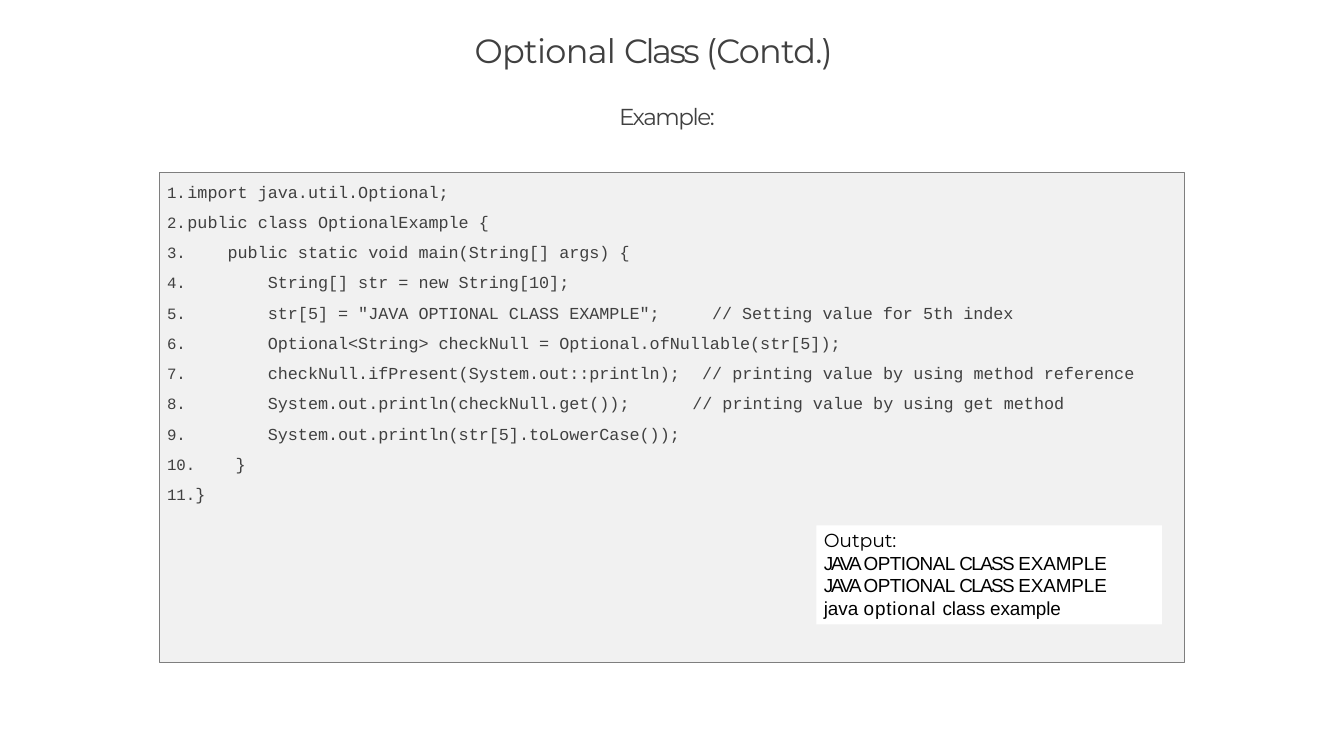
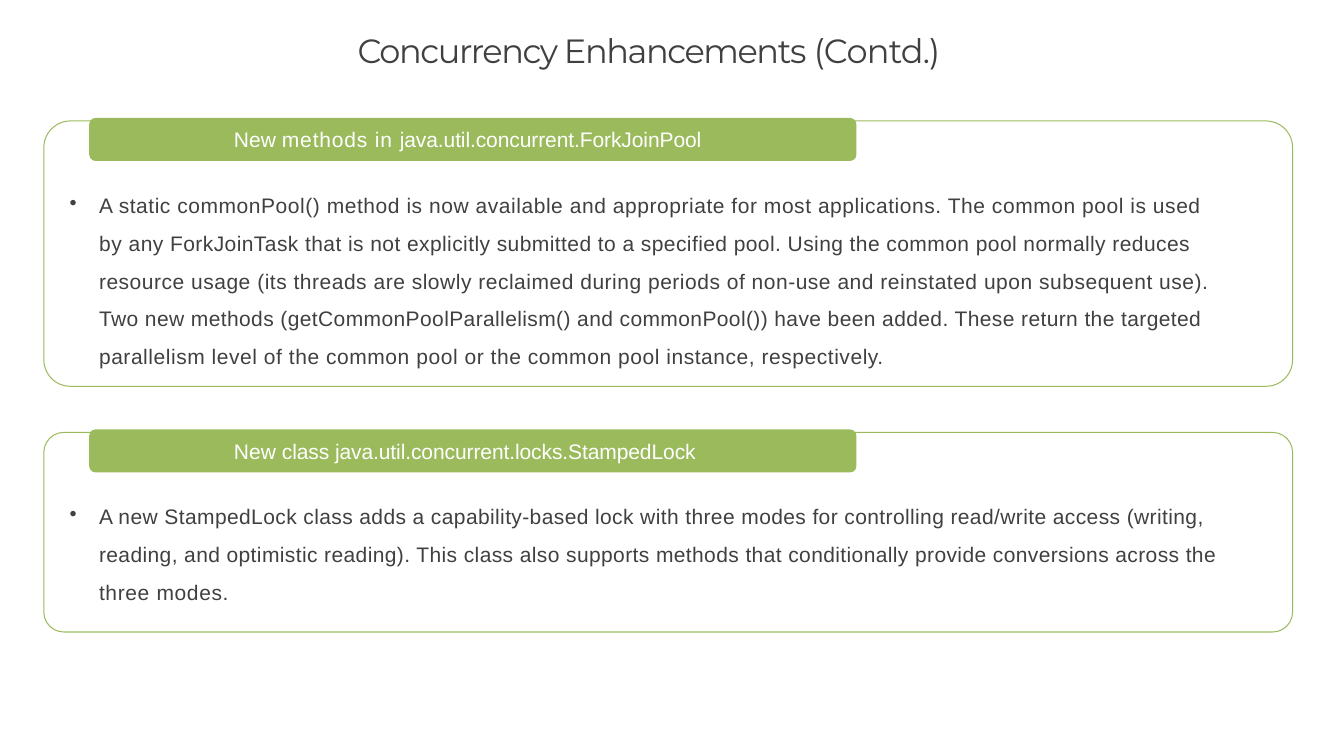
"""Build two slides about the Java Optional class and concurrency enhancements."""
from lxml.etree import SubElement
from pptx import Presentation
from pptx.dml.color import RGBColor
from pptx.enum.shapes import MSO_SHAPE
from pptx.enum.text import MSO_ANCHOR, PP_ALIGN
from pptx.oxml.ns import qn
from pptx.util import Pt

PX = 9144
DARK = RGBColor(0x40, 0x40, 0x40)
BLACK = RGBColor(0, 0, 0)
WHITE = RGBColor(0xFF, 0xFF, 0xFF)
GREEN = RGBColor(0x9B, 0xBA, 0x5C)
PANEL = RGBColor(0xF1, 0xF1, 0xF1)
GREY = RGBColor(0x7E, 0x7E, 0x7E)
HEADING, BODY, CODE = "Montserrat", "Arial", "Courier New"
DOT = (39, 100, "a:buChar", {"char": "•"})
NUMBER = (27, 94, "a:buAutoNum", {"type": "arabicPeriod"})

CODE_TOP, CODE_PITCH = 240, 40
CODE_LINES = (
    "import java.util.Optional;",
    "public class OptionalExample {",
    "    public static void main(String[] args) {",
    "        String[] str = new String[10];",
    '        str[5] = "JAVA OPTIONAL CLASS EXAMPLE";',
    "        Optional<String> checkNull = Optional.ofNullable(str[5]);",
    "        checkNull.ifPresent(System.out::println);",
    "        System.out.println(checkNull.get());",
    "        System.out.println(str[5].toLowerCase());",
    "    }",
    "}",
)
COMMENTS = (
    (942, 4, "// Setting value for 5th index"),
    (929, 6, "// printing value by using method reference"),
    (916, 7, "// printing value by using get method"),
)
UPPER_OUTPUT = [("JAVA ", -2.1), ("OPTIONAL ", -0.5), ("CLASS ", -1.6), ("EXAMPLE", -0.1)]
LOWER_OUTPUT = [("java ", 0), ("optional ", 0.8), ("class example", -0.1)]
OUTPUT = [[("Output:", -0.1, HEADING)], UPPER_OUTPUT, UPPER_OUTPUT, LOWER_OUTPUT]

SECTIONS = (
    (156, 351,
     [("New ", 0), ("methods in ", 0.8), ("java.util.concurrent.ForkJoinPool", -0.1)],
     [("A static commonPool() method is now available and appropriate for most "
       "applications. The common pool is used by ", 0.5),
      ("any ForkJoinTask that is not explicitly submitted to a specified pool. "
       "Using the common pool normally reduces ", 0.4),
      ("resource usage (its threads are slowly reclaimed during periods of non-use "
       "and reinstated upon subsequent use). ", 0.47),
      ("Two new methods (getCommonPoolParallelism() and commonPool()) have been "
       "added. These return the targeted ", 0.36),
      ("parallelism level of the common pool or the common pool instance, "
       "respectively.", 0.51)]),
    (568, 264,
     [("New ", 0), ("class java.util.concurrent.locks.StampedLock", -0.1)],
     [("A new StampedLock class adds a capability-based lock with three modes for "
       "controlling read/write access (writing, ", 0.37),
      ("reading, and optimistic reading). This class also supports methods that "
       "conditionally provide conversions across the ", 0.37),
      ("three modes.", 0.6)]),
)


class Deck:
    """Hold the shared style and the current slide."""

    def __init__(self):
        self.presentation = Presentation()
        self.presentation.slide_width = 1778 * PX
        self.presentation.slide_height = 1000 * PX
        self.slide = None

    def new_slide(self, title, left):
        """Start a blank slide with its title."""
        self.slide = self.presentation.slides.add_slide(self.presentation.slide_layouts[6])
        self.text((left, 39, 900, 55), [title], HEADING, 32)

    def shape(self, kind, box, fill=None, line=None, width=1, rounding=None):
        """Add a preset shape."""
        shape = self.slide.shapes.add_shape(kind, *(length * PX for length in box))
        shape.shadow.inherit = False
        if rounding is not None:
            shape.adjustments[0] = rounding
        if fill is None:
            shape.fill.background()
        else:
            shape.fill.solid()
            shape.fill.fore_color.rgb = fill
        if line is None:
            shape.line.fill.background()
        else:
            shape.line.color.rgb = line
            shape.line.width = Pt(width)
        return shape

    def frame(self, shape, left=0, top=0, wrap=False, anchor=MSO_ANCHOR.TOP):
        """Set margins, wrapping and anchor of a text frame."""
        frame = shape.text_frame
        frame.margin_left, frame.margin_top = left * PX, top * PX
        frame.margin_right = frame.margin_bottom = 0
        frame.word_wrap, frame.vertical_anchor = wrap, anchor
        return frame

    def paragraphs(self, frame, lines, font, size, color=DARK, bullet=None, before=0, spacing=1.0):
        """Fill a frame with lines of runs: text, letter spacing and optional font."""
        for index, runs in enumerate(lines):
            paragraph = frame.add_paragraph() if index else frame.paragraphs[0]
            if bullet:
                self.bullet(paragraph, *bullet)
            paragraph.alignment = PP_ALIGN.LEFT
            paragraph.space_before = Pt(before if index else 0)
            paragraph.line_spacing = spacing
            for text, tracking, *own_font in runs:
                run = paragraph.add_run()
                run.text = text
                run.font.name = own_font[0] if own_font else font
                run.font.size = Pt(size)
                run.font.color.rgb = color
                run._r.get_or_add_rPr().set("spc", str(round(tracking * 100)))

    def bullet(self, paragraph, indent, percent, tag, attributes):
        """Give a paragraph a hanging bullet or number."""
        properties = paragraph._p.get_or_add_pPr()
        properties.set("marL", str(indent * PX))
        properties.set("indent", str(-indent * PX))
        SubElement(properties, qn("a:buSzPct")).set("val", str(percent * 1000))
        SubElement(properties, qn(tag), attributes)

    def text(self, box, lines, font, size, wrap=False, **style):
        """Add a text box."""
        shape = self.slide.shapes.add_textbox(*(length * PX for length in box))
        self.paragraphs(self.frame(shape, wrap=wrap), lines, font, size, **style)

    def section(self, top, height, heading, body):
        """Add a green outlined section with a heading band and a bullet."""
        self.shape(MSO_SHAPE.ROUNDED_RECTANGLE, (58, top + 4, 1652, height),
                   line=GREEN, width=0.96, rounding=0.1)
        band = self.shape(MSO_SHAPE.ROUNDED_RECTANGLE, (118, top, 1015, 57),
                          fill=GREEN, rounding=0.15)
        self.paragraphs(self.frame(band, left=189, anchor=MSO_ANCHOR.MIDDLE),
                        [heading], BODY, 20, WHITE)
        self.text((92, top + 82, 1535, height - 100), [body], BODY, 20, wrap=True,
                  bullet=DOT, spacing=1.5)


def optional_slide(deck):
    """Build the code example slide."""
    deck.new_slide([("Optional ", -0.7), ("Class ", -2.4), ("(Contd.)", -0.8)], 628)
    deck.text((819, 135, 141, 39), [[("Example:", -1.4)]], HEADING, 22)
    deck.shape(MSO_SHAPE.RECTANGLE, (211, 228, 1356, 648), PANEL, GREY, 0.72)
    deck.text((221, CODE_TOP, 1000, 440), [[(line, 0)] for line in CODE_LINES], CODE, 16,
              wrap=True, bullet=NUMBER, before=9.6)
    for left, row, comment in COMMENTS:
        deck.text((left, CODE_TOP + row * CODE_PITCH, 600, 29), [[(comment, 0)]], CODE, 16)
    panel = deck.shape(MSO_SHAPE.RECTANGLE, (1080, 695, 457, 131), WHITE)
    deck.paragraphs(deck.frame(panel, left=10, top=4), OUTPUT, BODY, 18, BLACK)


def concurrency_slide(deck):
    """Build the concurrency slide."""
    deck.new_slide([("Concurrency Enhancements ", -1.4), ("(Contd.)", -0.8)], 473)
    for section in SECTIONS:
        deck.section(*section)


def main():
    """Build and save the presentation."""
    deck = Deck()
    optional_slide(deck)
    concurrency_slide(deck)
    deck.presentation.save("out.pptx")


if __name__ == "__main__":
    main()
